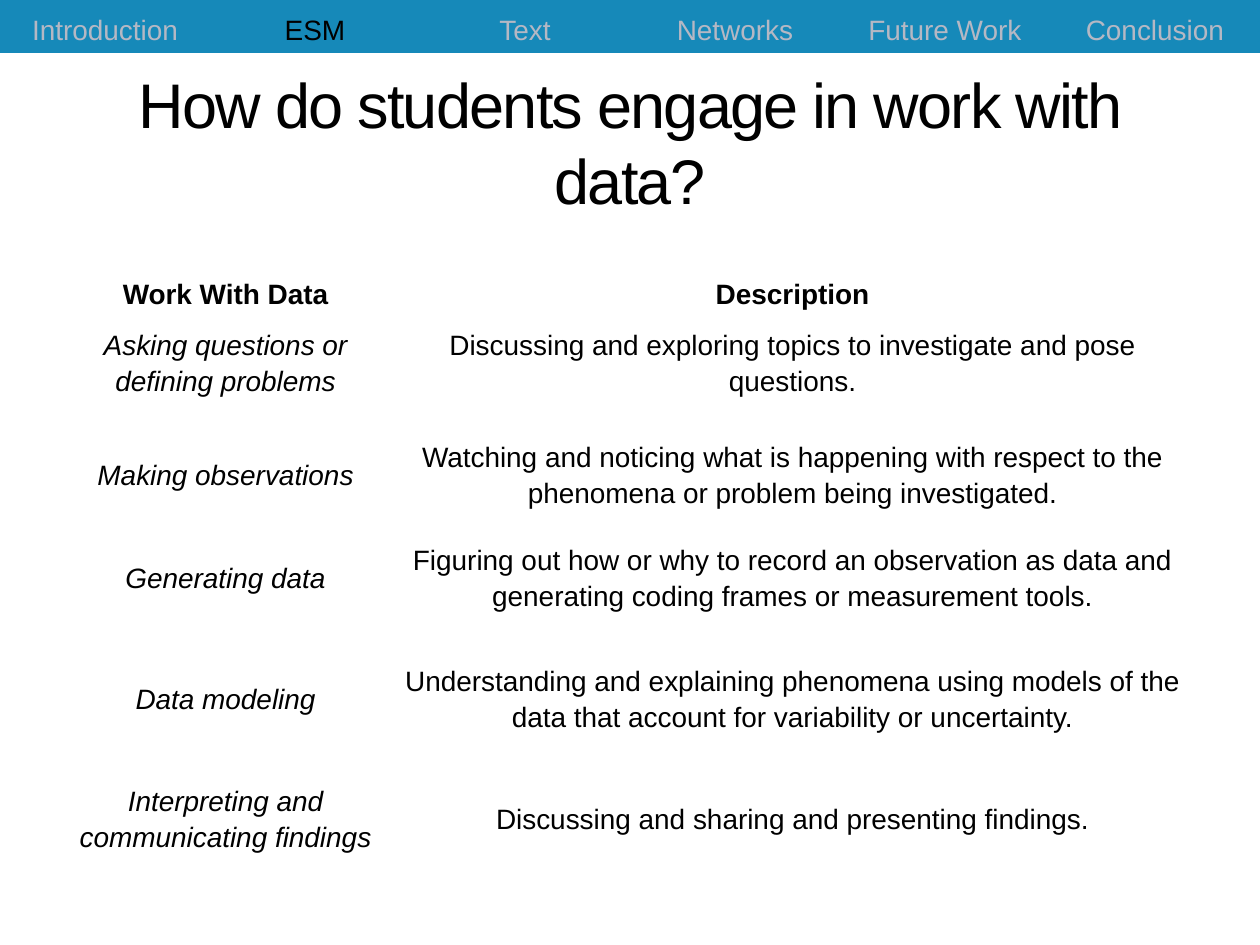
"""Build a slide with a navigation bar, a title and a table about work with data."""
from dataclasses import dataclass

import pptx
import pptx.dml.color
import pptx.enum.shapes
import pptx.enum.text
import pptx.oxml
import pptx.oxml.ns
import pptx.util

Pt = pptx.util.Pt
Anchor = pptx.enum.text.MSO_ANCHOR
BLUE, GREY, BLACK, WHITE = "1689B9", "B5B8C4", "000000", "FFFFFF"
NO_STYLE = "{2D5ABB26-0587-4C30-8999-92F81FD0307C}"
SLIDE_WIDTH, SLIDE_HEIGHT = 720, 540
SECTIONS = ["Introduction", "ESM", "Text", "Networks", "Future Work", "Conclusion"]
CURRENT_SECTION = "ESM"


@dataclass
class Practice:
    name: str
    description: str
    height: float


PRACTICES = [
    Practice("Asking questions or defining problems",
             "Discussing and exploring topics to investigate and pose questions.", 53.3),
    Practice("Making observations",
             "Watching and noticing what is happening with respect to the phenomena "
             "or problem being investigated.", 74.2),
    Practice("Generating data",
             "Figuring out how or why to record an observation as data and generating "
             "coding frames or measurement tools.", 41.5),
    Practice("Data modeling",
             "Understanding and explaining phenomena using models of the data that "
             "account for variability or uncertainty.", 93.6),
    Practice("Interpreting and communicating findings",
             "Discussing and sharing and presenting findings.", 41.5),
]


def color(value: str) -> pptx.dml.color.RGBColor:
    return pptx.dml.color.RGBColor.from_string(value)


def set_all(target, values: dict) -> None:
    for name, value in values.items():
        setattr(target, name, value)


def write(frame, text: str, size: float, fill: str = BLACK, **font_values):
    paragraph = frame.paragraphs[0]
    paragraph.alignment = pptx.enum.text.PP_ALIGN.CENTER
    run = paragraph.add_run()
    run.text = text
    set_all(run.font, {"name": "Arial", "size": Pt(size), **font_values})
    run.font.color.rgb = color(fill)
    return paragraph


def add_plain_table(slide, left: float, top: float, widths: list, heights: list):
    frame = slide.shapes.add_table(len(heights), len(widths), Pt(left), Pt(top),
                                   Pt(sum(widths)), Pt(sum(heights)))
    table = frame.table
    set_all(table, {"first_row": False, "horz_banding": False})
    frame.element.find(".//" + pptx.oxml.ns.qn("a:tableStyleId")).text = NO_STYLE
    for column, width in zip(table.columns, widths):
        column.width = Pt(width)
    for row, height in zip(table.rows, heights):
        row.height = Pt(height)
    return table


def add_borders(cell, line_color: str, width: float) -> None:
    properties = cell._tc.get_or_add_tcPr()
    for index, side in enumerate(("lnL", "lnR", "lnT", "lnB")):
        properties.insert(index, pptx.oxml.parse_xml(
            f'<a:{side} {pptx.oxml.ns.nsdecls("a")} w="{Pt(width)}"><a:solidFill>'
            f'<a:srgbClr val="{line_color}"/></a:solidFill></a:{side}>'))


def add_bar(slide) -> None:
    bar = slide.shapes.add_shape(pptx.enum.shapes.MSO_SHAPE.RECTANGLE,
                                 0, 0, Pt(SLIDE_WIDTH), Pt(28.8))
    bar.shadow.inherit = False
    bar.fill.solid()
    bar.fill.fore_color.rgb = color(BLUE)
    bar.line.fill.background()


def add_title(slide, text: str) -> None:
    frame = slide.shapes.add_textbox(Pt(36), Pt(41.8), Pt(648), Pt(77.8)).text_frame
    set_all(frame, {"word_wrap": True, "vertical_anchor": Anchor.MIDDLE})
    paragraph = write(frame, text, 36)
    paragraph.runs[0].font._element.set("spc", "-100")


def add_practices(slide) -> None:
    heights = [25.2] + [practice.height for practice in PRACTICES]
    table = add_plain_table(slide, 36, 154.8, [185.8, 462.2], heights)
    rows = [("Work With Data", "Description")]
    rows += [(practice.name, practice.description) for practice in PRACTICES]
    for row_index, texts in enumerate(rows):
        for column_index, text in enumerate(texts):
            cell = table.cell(row_index, column_index)
            set_all(cell, {"vertical_anchor": Anchor.MIDDLE,
                           "margin_left": Pt(5), "margin_right": Pt(5),
                           "margin_top": 0, "margin_bottom": 0})
            cell.fill.background()
            add_borders(cell, WHITE, 1)
            header = row_index == 0
            paragraph = write(cell.text_frame, text, 16, bold=header,
                              italic=not header and column_index == 0)
            paragraph.line_spacing = 1.15


def add_navigation(slide) -> None:
    widths = [SLIDE_WIDTH / len(SECTIONS)] * len(SECTIONS)
    table = add_plain_table(slide, 0, -2.2, widths, [32.4])
    for cell, section in zip(table.iter_cells(), SECTIONS):
        cell.vertical_anchor = Anchor.BOTTOM
        cell.fill.solid()
        cell.fill.fore_color.rgb = color(BLUE)
        write(cell.text_frame, section, 16, BLACK if section == CURRENT_SECTION else GREY)


def main() -> None:
    presentation = pptx.Presentation()
    set_all(presentation, {"slide_width": Pt(SLIDE_WIDTH), "slide_height": Pt(SLIDE_HEIGHT)})
    slide = presentation.slides.add_slide(presentation.slide_layouts[6])
    add_bar(slide)
    add_title(slide, "How do students engage in work with data?")
    add_practices(slide)
    add_navigation(slide)
    presentation.save("out.pptx")


if __name__ == "__main__":
    main()
